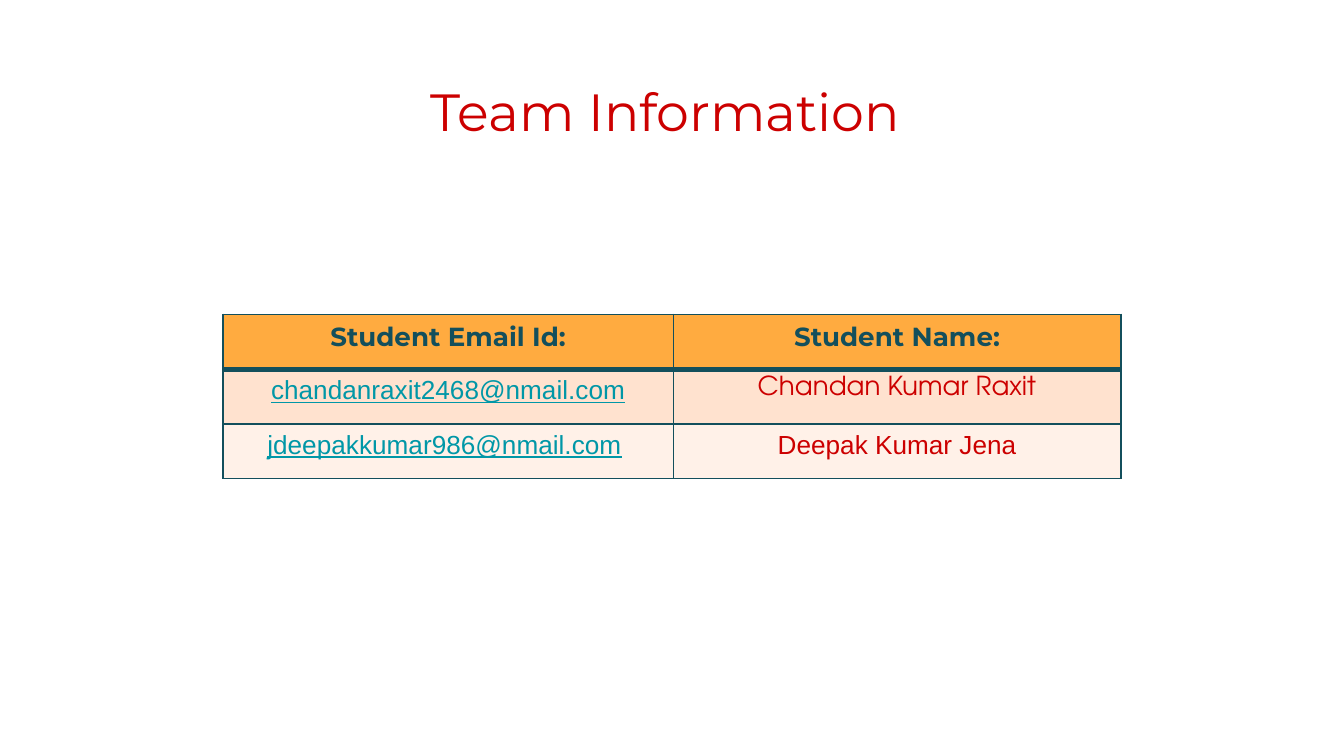
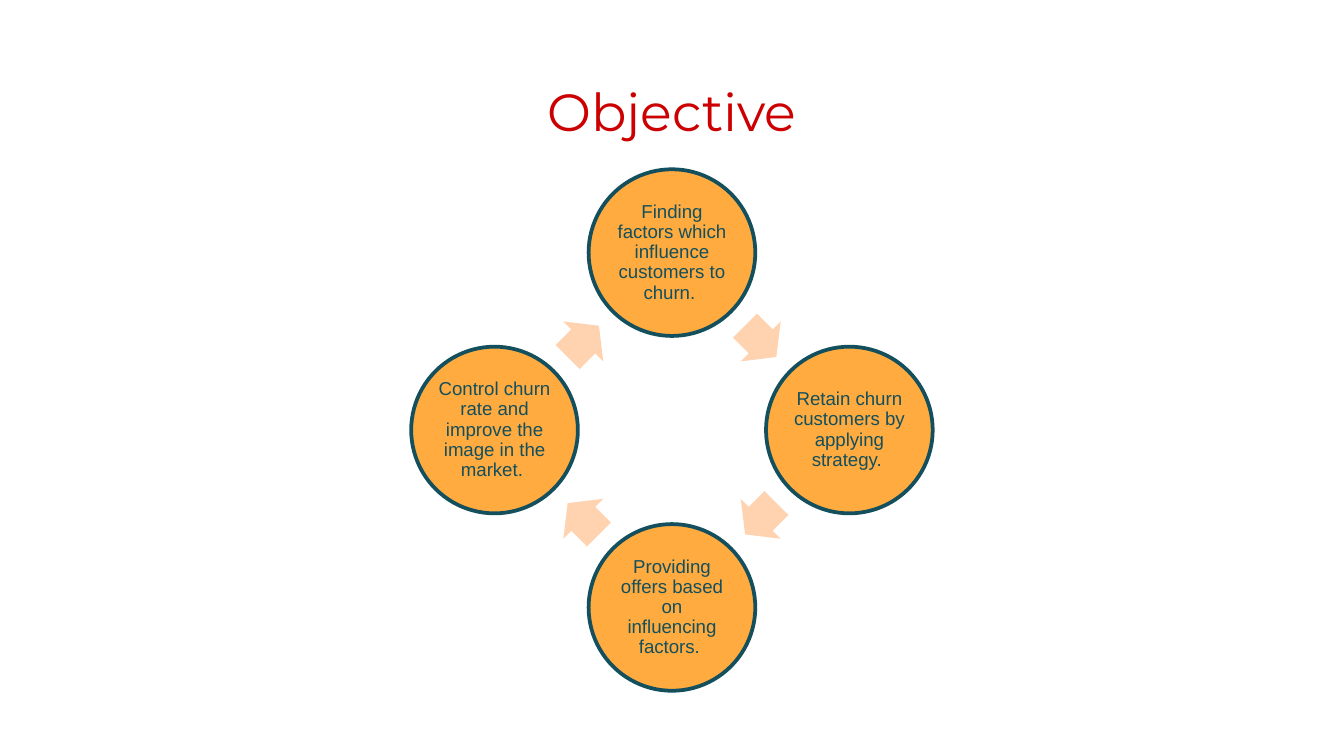
"""Builds the team information and objective slides."""
from math import cos, radians, sin

from lxml import etree
from pptx import Presentation
from pptx.dml.color import RGBColor
from pptx.enum.shapes import MSO_SHAPE
from pptx.enum.text import MSO_ANCHOR, PP_ALIGN
from pptx.oxml.ns import qn
from pptx.util import Inches, Pt

CENTER = PP_ALIGN.CENTER
MIDDLE = MSO_ANCHOR.MIDDLE
OVAL = MSO_SHAPE.OVAL
RIGHT_ARROW = MSO_SHAPE.RIGHT_ARROW

COLORS = {
    "title": "CC0000",
    "dark": "134F5C",
    "link": "0097A7",
    "orange": "FFAB40",
    "arrow": "FFD2B0",
    "odd_row": "FFE2CF",
    "even_row": "FFF1E8",
    "white": "FFFFFF",
}
HEADING_FONT = "Montserrat"
BODY_FONT = "Arial"
SLIDE_WIDTH = 10
SLIDE_HEIGHT = SLIDE_WIDTH * 9 / 16

TEAM_TITLE = "Team Information "
TEAM_HEADER = ["Student Email Id:", "Student Name:"]
TEAM_MEMBERS = [
    ("chandanraxit2468@nmail.com", "", "Chandan Kumar Raxit", "TeX Gyre Adventor"),
    ("jdeepakkumar986@nmail.com", " ", "Deepak Kumar Jena", BODY_FONT),
]
COLUMN_WIDTHS = [3.35, 3.33]
TABLE_HEIGHT = 1.22

OBJECTIVE_TITLE = "Objective"
OBJECTIVES = [
    "Finding factors which influence customers to churn. ",
    "Retain churn customers by applying strategy. ",
    "Providing offers based on influencing factors. ",
    "Control churn rate and improve the image in the market. ",
]
CYCLE_CENTER = (5, 3.2)
CYCLE_RADIUS = 1.32
CIRCLE_SIZE = 1.24
ARROW_SIZE = (0.33, 0.42)


def rgb(name):
    return RGBColor.from_string(COLORS[name])


def style_run(run, size, font, color, bold=False, underline=False):
    run.font.size = Pt(size)
    run.font.name = font
    run.font.color.rgb = rgb(color)
    run.font.bold = bold
    run.font.underline = underline


def write(text_frame, text, *style, **flags):
    text_frame.text = text
    paragraph = text_frame.paragraphs[0]
    paragraph.alignment = CENTER
    style_run(paragraph.runs[0], *style, **flags)
    return paragraph


def set_margins(text_frame, margin):
    text_frame.margin_left = text_frame.margin_right = Inches(margin)
    text_frame.margin_top = text_frame.margin_bottom = Inches(margin)


def add_slide(presentation, title):
    slide = presentation.slides.add_slide(presentation.slide_layouts[6])
    slide.background.fill.solid()
    slide.background.fill.fore_color.rgb = rgb("white")
    box = slide.shapes.add_textbox(Inches(0.34), Inches(0.49), Inches(9.32), Inches(0.63))
    box.text_frame.word_wrap = True
    set_margins(box.text_frame, 0.1)
    write(box.text_frame, title, 28, HEADING_FONT, "title")
    return slide


def style_cell(cell, fill, top=1, bottom=1):
    properties = cell._tc.get_or_add_tcPr()
    for side, width in (("L", 1), ("R", 1), ("T", top), ("B", bottom)):
        line = etree.SubElement(properties, qn(f"a:ln{side}"), w=str(Pt(width)))
        solid = etree.SubElement(line, qn("a:solidFill"))
        etree.SubElement(solid, qn("a:srgbClr"), val=COLORS["dark"])
    cell.fill.solid()
    cell.fill.fore_color.rgb = rgb(fill)


def add_team_table(slide):
    row_count = len(TEAM_MEMBERS) + 1
    table = slide.shapes.add_table(
        row_count, len(COLUMN_WIDTHS), Inches(1.66), Inches(2.34),
        Inches(sum(COLUMN_WIDTHS)), Inches(TABLE_HEIGHT)).table
    for column, width in zip(table.columns, COLUMN_WIDTHS):
        column.width = Inches(width)
    for column, heading in enumerate(TEAM_HEADER):
        cell = table.cell(0, column)
        style_cell(cell, "orange", bottom=3)
        write(cell.text_frame, heading, 14, HEADING_FONT, "dark", bold=True)
    for row, (email, suffix, name, font) in enumerate(TEAM_MEMBERS, 1):
        email_cell, name_cell = table.cell(row, 0), table.cell(row, 1)
        for cell in (email_cell, name_cell):
            style_cell(cell, "odd_row" if row % 2 else "even_row", top=3 if row == 1 else 1)
        paragraph = write(email_cell.text_frame, email, 14, BODY_FONT, "link", underline=True)
        if suffix:
            run = paragraph.add_run()
            run.text = suffix
            style_run(run, 14, BODY_FONT, "title")
        write(name_cell.text_frame, name, 14, font, "title")


def add_centered_shape(slide, kind, center, size, fill):
    left, top = (middle - length / 2 for middle, length in zip(center, size))
    shape = slide.shapes.add_shape(kind, Inches(left), Inches(top), *map(Inches, size))
    shape.shadow.inherit = False
    shape.fill.solid()
    shape.fill.fore_color.rgb = rgb(fill)
    return shape


def add_cycle(slide):
    step = 360 / len(OBJECTIVES)

    def point(angle, radius):
        x, y = CYCLE_CENTER
        return x + radius * sin(radians(angle)), y - radius * cos(radians(angle))

    for index, objective in enumerate(OBJECTIVES):
        angle = index * step
        circle = add_centered_shape(
            slide, OVAL, point(angle, CYCLE_RADIUS), (CIRCLE_SIZE, CIRCLE_SIZE), "orange")
        circle.line.color.rgb = rgb("dark")
        circle.line.width = Pt(2)
        text_frame = circle.text_frame
        text_frame.word_wrap = True
        text_frame.vertical_anchor = MIDDLE
        set_margins(text_frame, 0.02)
        write(text_frame, objective, 10, BODY_FONT, "dark").line_spacing = 0.9

        halfway = angle + step / 2
        arrow = add_centered_shape(
            slide, RIGHT_ARROW, point(halfway, CYCLE_RADIUS * cos(radians(step / 2))),
            ARROW_SIZE, "arrow")
        arrow.line.fill.background()
        arrow.adjustments[0] = 0.6
        arrow.adjustments[1] = 0.5
        arrow.rotation = halfway


def main():
    presentation = Presentation()
    presentation.slide_width = Inches(SLIDE_WIDTH)
    presentation.slide_height = Inches(SLIDE_HEIGHT)
    add_team_table(add_slide(presentation, TEAM_TITLE))
    add_cycle(add_slide(presentation, OBJECTIVE_TITLE))
    presentation.save("out.pptx")


if __name__ == "__main__":
    main()
